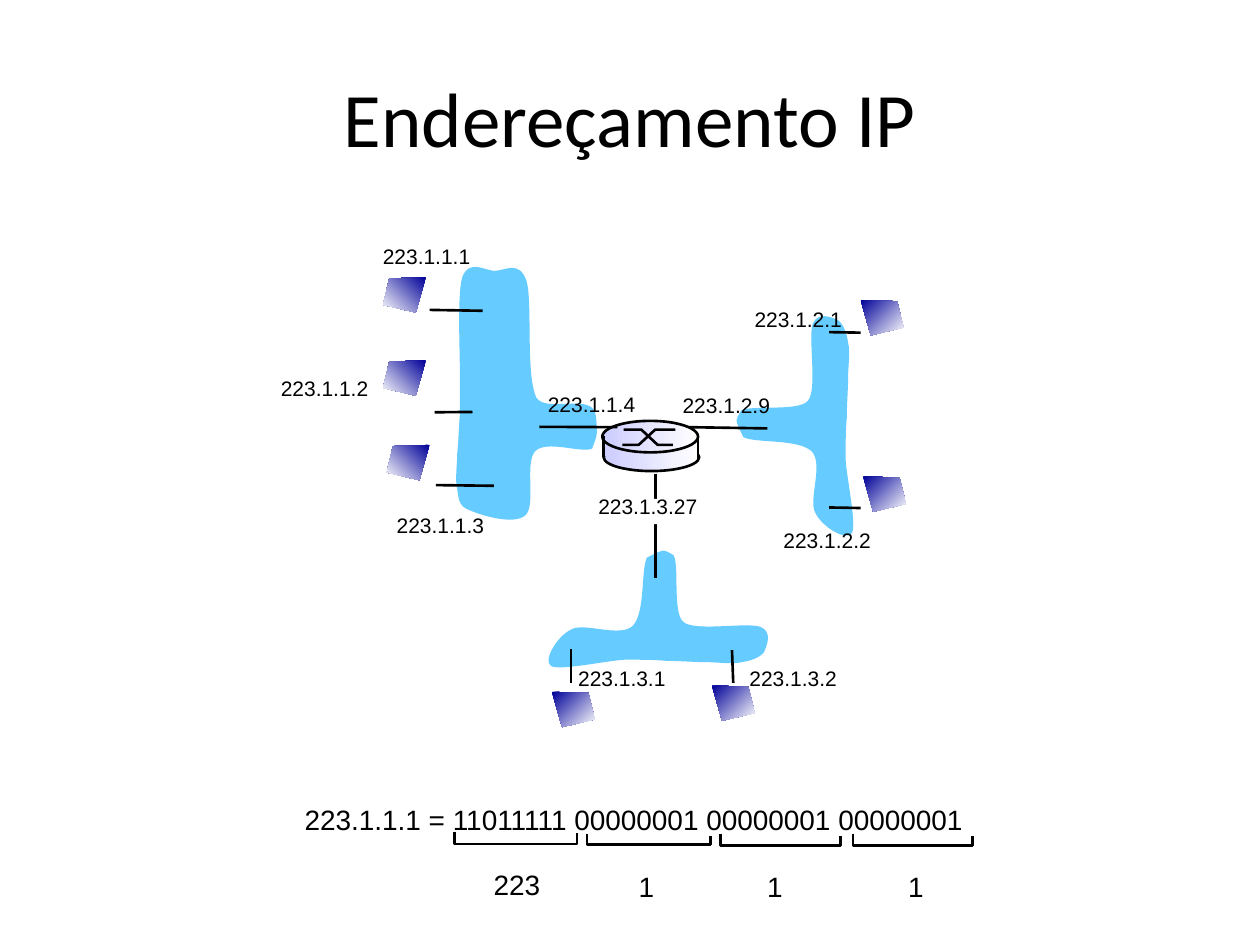
from lxml import etree
from pptx import Presentation
from pptx import util as u
from pptx.dml.color import RGBColor
from pptx.enum import shapes, text
from pptx.oxml.ns import qn

Pt = u.Pt
COLORS = {"ink": "000000", "paper": "FFFFFF", "cloud": "66CCFF",
          "screen": "000099", "router": "CCCCFF"}

# ---- Content: all lengths in points ----
TITLE = "Endereçamento IP"
ADDRESSES = [  # text, left, top, width
    ("223.1.1.1", 211.7, 135.4, 64.8), ("223.1.1.2", 153.4, 211, 64.8),
    ("223.1.1.3", 219.6, 289.4, 64.8), ("223.1.1.4", 306, 220.3, 64.8),
    ("223.1.2.9", 383, 221, 64.8), ("223.1.2.2", 440.6, 298.1, 64.8),
    ("223.1.2.1", 424.1, 171.4, 64.8), ("223.1.3.2", 421.2, 376.6, 64.8),
    ("223.1.3.1", 323.3, 376.6, 64.8), ("223.1.3.27", 334.8, 278.6, 72),
]
LABEL_BACKS = [(160.6, 216.7, 65.5, 14.4), (341.3, 285.1, 67, 14.4)]
BINARY = "223.1.1.1 = 11011111 00000001 00000001 00000001"
OCTETS = [  # value, text left, text top, text width, bracket left, right, top, bottom
    ("223", 275, 492.5, 41, 259.9, 329.8, 475.2, 482.4),
    ("1", 357.8, 493.2, 23, 335.5, 406.1, 476.6, 482.4),
    ("1", 431.3, 493.2, 23, 411.8, 480.2, 476.6, 483.1),
    ("1", 511.9, 493.2, 23, 487.4, 555.8, 476.6, 483.1),
]

# Cloud outlines: a start point, then rows of two control points and an end point
WIDE_CLOUD = [
    (80.6, 89.3),
    (79.2, 75.6), (53.3, 87.8), (46.8, 79.2),
    (40.3, 66.2), (44.6, 24.5), (41, 12.2),
    (36.7, 0), (28.8, 6.5), (22.3, 6.5),
    (16.6, 5.8), (7.9, 0), (4.3, 10.1),
    (1.4, 19.4), (2.9, 51.1), (2.9, 64.1),
    (2.9, 77), (2.9, 80.6), (2.9, 88.6),
    (2.2, 96.5), (2.2, 103.7), (1.4, 110.9),
    (1.4, 117.4), (0, 126), (1.4, 131),
    (2.2, 136.8), (2.2, 141.1), (8.6, 143.3),
    (15.1, 146.2), (33.8, 151.9), (40.3, 146.2),
    (46.8, 140.4), (39.6, 115.9), (46.1, 109.4),
    (52.6, 103), (72.7, 110.9), (78.5, 108),
    (80.6, 101.5), (82.1, 102.2), (80.6, 89.3),
]
SLIM_CLOUD = [
    (63.4, 56.2),
    (56.2, 52.6), (32.4, 55.4), (24.5, 48.2),
    (17.3, 41), (26.6, 20.2), (22.3, 13),
    (18.7, 5), (4.3, -3.6), (1.4, 1.4),
    (-1.4, 6.5), (4.3, 32.4), (5, 43.2),
    (5, 54.7), (5, 59.8), (4.3, 67.7),
    (4.3, 75.6), (3.6, 82.8), (3.6, 90),
    (3.6, 97.2), (2.2, 105.1), (3.6, 110.2),
    (4.3, 115.9), (6.5, 121), (9.4, 123.1),
    (13, 124.6), (20.9, 128.2), (23.8, 121),
    (26.6, 113), (20.9, 83.5), (26.6, 77),
    (31.7, 70.6), (59.8, 74.9), (64.8, 71.3),
    (67.7, 65.5), (69.1, 67.7), (63.4, 56.2),
]
CLOUDS = [  # outline, left, top, rotation
    (SLIM_CLOUD, 342, 285.8, 270), (SLIM_CLOUD, 420.5, 181.4, 180),
    (WIDE_CLOUD, 259.9, 148.3, 0),
]

SCREEN = [(0, 0), (20.9, 0.7), (24.5, 15.8), (5.8, 20.2)]
SCREEN_WIDTH = 24.5
HOSTS = [  # left, top, mirrored
    (218.9, 158.4, True), (218.9, 205.9, True), (221, 254.2, True),
    (491.8, 171.4, False), (493.2, 272.2, False),
    (406.8, 391.7, False), (315.4, 395.3, False),
]
LINKS_BEHIND = [
    (393.1, 244.1, 438.5, 244.8), (473.8, 189.8, 491.8, 190.1),
    (473.8, 290, 491.8, 290.3), (374.4, 270.7, 374.4, 330.5),
    (326.2, 390.2, 326.2, 370.8), (419, 390.2, 418.3, 371.5),
]
LINKS_FRONT = [
    (245.5, 177.1, 275.8, 177.6), (248.4, 235.6, 270, 235.4),
    (249.1, 277.2, 282.2, 277.6), (308.2, 243.9, 352.8, 244.1),
]
OVAL, RECT = shapes.MSO_SHAPE.OVAL, shapes.MSO_SHAPE.RECTANGLE
ROUTER_BODY = [  # preset, box, outlined
    (OVAL, (344.9, 253.4, 54.7, 15.8), True),
    (RECT, (344.9, 251.3, 54.7, 9.4), False),
    (OVAL, (344.2, 240.5, 54.7, 18), True),
]
ROUTER_CROSS = [
    [(355.7, 254.2), (365, 254.2), (374.4, 245.5), (385.9, 245.5)],
    [(356.4, 245.5), (366.5, 245.5), (375.8, 254.2), (384.5, 254.2)],
]
ROUTER_SIDES = [(344.9, 249.1, 344.9, 261.4), (398.9, 249.8, 398.9, 262.1)]

prs = Presentation()
prs.slide_width, prs.slide_height = Pt(720), Pt(540)
slide = prs.slides.add_slide(prs.slide_layouts[5])


def rgb(name):
    return RGBColor.from_string(COLORS[name])


def paint(shape, fill=None, outlined=False, angle=None):
    """Plain fill, or a fade to the paper colour when an angle is given."""
    shape.shadow.inherit = False
    if fill is None:
        shape.fill.background()
    elif angle is None:
        shape.fill.solid()
        shape.fill.fore_color.rgb = rgb(fill)
    else:
        shape.fill.gradient()
        shape.fill.gradient_angle = angle
        for stop, name, position in zip(shape.fill.gradient_stops, (fill, "paper"), (0, 1)):
            stop.color.rgb = rgb(name)
            stop.position = position
    if outlined:
        shape.line.color.rgb = rgb("ink")
        shape.line.width = Pt(1.5)
    else:
        shape.line.fill.background()


def add_outline(points, left=0, top=0, close=True):
    corners = [(Pt(left + x), Pt(top + y)) for x, y in points]
    builder = slide.shapes.build_freeform(*corners[0], scale=1.0)
    builder.add_line_segments(corners[1:], close=close)
    return builder.convert_to_shape()


def curve(shape):
    """Turn each three straight segments into one Bézier segment."""
    outline = next(shape._element.iter(qn("a:path")))
    segments = outline.findall(qn("a:lnTo"))
    for first in range(0, len(segments) - 2, 3):
        bend = etree.Element(qn("a:cubicBezTo"))
        segments[first].addprevious(bend)
        for segment in segments[first:first + 3]:
            bend.append(segment[0])
            outline.remove(segment)


def add_links(links):
    for x1, y1, x2, y2 in links:
        link = slide.shapes.add_connector(
            shapes.MSO_CONNECTOR.STRAIGHT, Pt(x1), Pt(y1), Pt(x2), Pt(y2))
        link.line.color.rgb = rgb("ink")
        link.line.width = Pt(1.5)
        etree.SubElement(link._element.spPr, qn("a:effectLst"))


def add_preset(preset, box, **look):
    paint(slide.shapes.add_shape(preset, *map(Pt, box)), **look)


def style(paragraph, size, font):
    for run in paragraph.runs:
        run.font.size, run.font.name = Pt(size), font
        run.font.color.rgb = rgb("ink")


def add_label(words, left, top, width, height, size):
    frame = slide.shapes.add_textbox(Pt(left), Pt(top), Pt(width), Pt(height)).text_frame
    frame.word_wrap = False
    frame.auto_size = text.MSO_AUTO_SIZE.SHAPE_TO_FIT_TEXT
    frame.text = words
    style(frame.paragraphs[0], size, "Arial")


# Title
title = slide.shapes.title
title.left, title.top, title.width, title.height = map(Pt, (36, 21.6, 648, 90))
title.text_frame.text = TITLE
title.text_frame.vertical_anchor = text.MSO_ANCHOR.MIDDLE
title.text_frame.paragraphs[0].alignment = text.PP_ALIGN.CENTER
style(title.text_frame.paragraphs[0], 44, "Calibri")

# Subnets, links and addresses
for outline, left, top, rotation in CLOUDS:
    cloud = add_outline(outline, left, top)
    curve(cloud)
    cloud.rotation = rotation
    paint(cloud, "cloud")
add_links(LINKS_BEHIND)
for box in LABEL_BACKS:
    add_preset(RECT, box, fill="paper")
for address, left, top, width in ADDRESSES:
    add_label(address, left, top, width, 21.6, 12)

# Binary form with a bracket under each octet
add_label(BINARY, 167, 455, 397.4, 26.6, 16)
for value, left, top, width, start, end, upper, lower in OCTETS:
    bracket = [(start, upper), (start, lower), (end, lower), (end, upper + 1)]
    paint(add_outline(bracket, close=False), outlined=True)
    add_label(value, left, top, width, 26.6, 16)

# Hosts
for left, top, mirrored in HOSTS:
    corners = [(SCREEN_WIDTH - x if mirrored else x, y) for x, y in SCREEN]
    paint(add_outline(corners, left, top), "screen", angle=225 if mirrored else 315)

# Router
for preset, box, outlined in ROUTER_BODY:
    add_preset(preset, box, fill="router", outlined=outlined, angle=0)
for stroke in ROUTER_CROSS:
    paint(add_outline(stroke, close=False), outlined=True)
add_links(ROUTER_SIDES + LINKS_FRONT)

prs.save("out.pptx")
